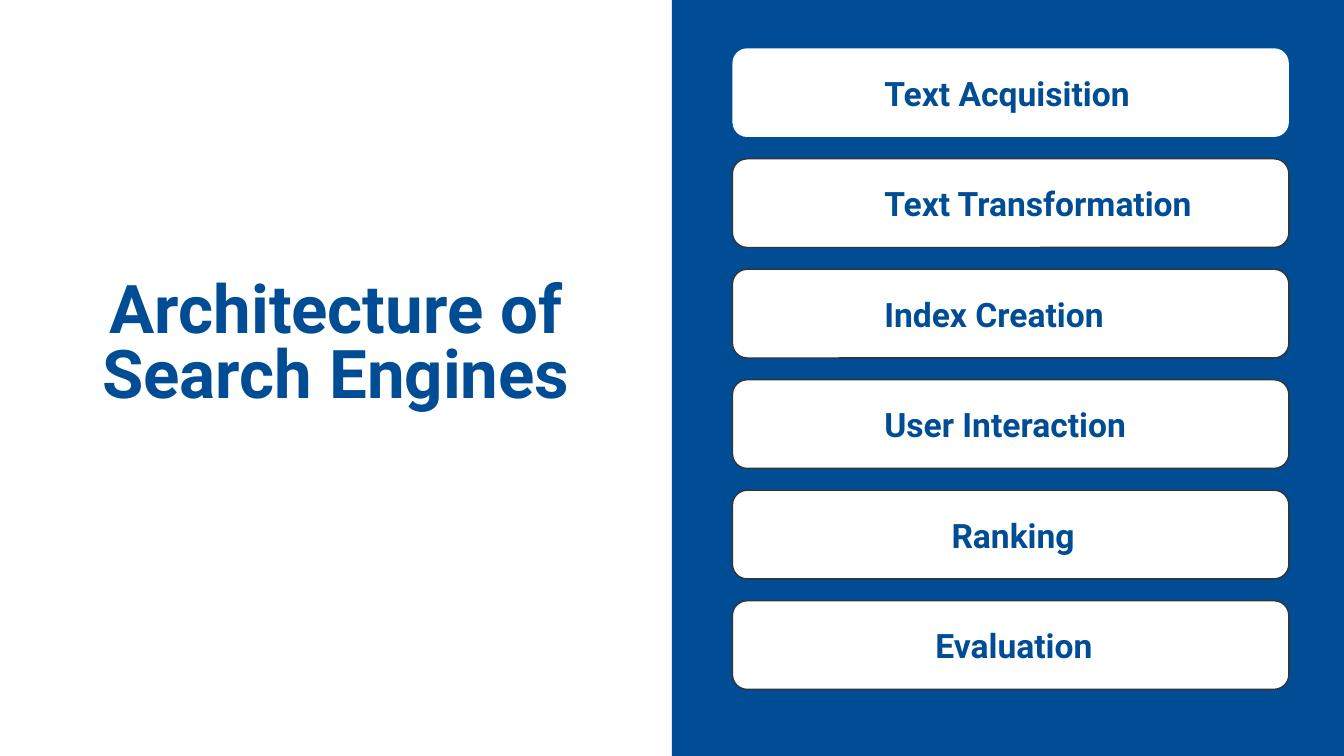
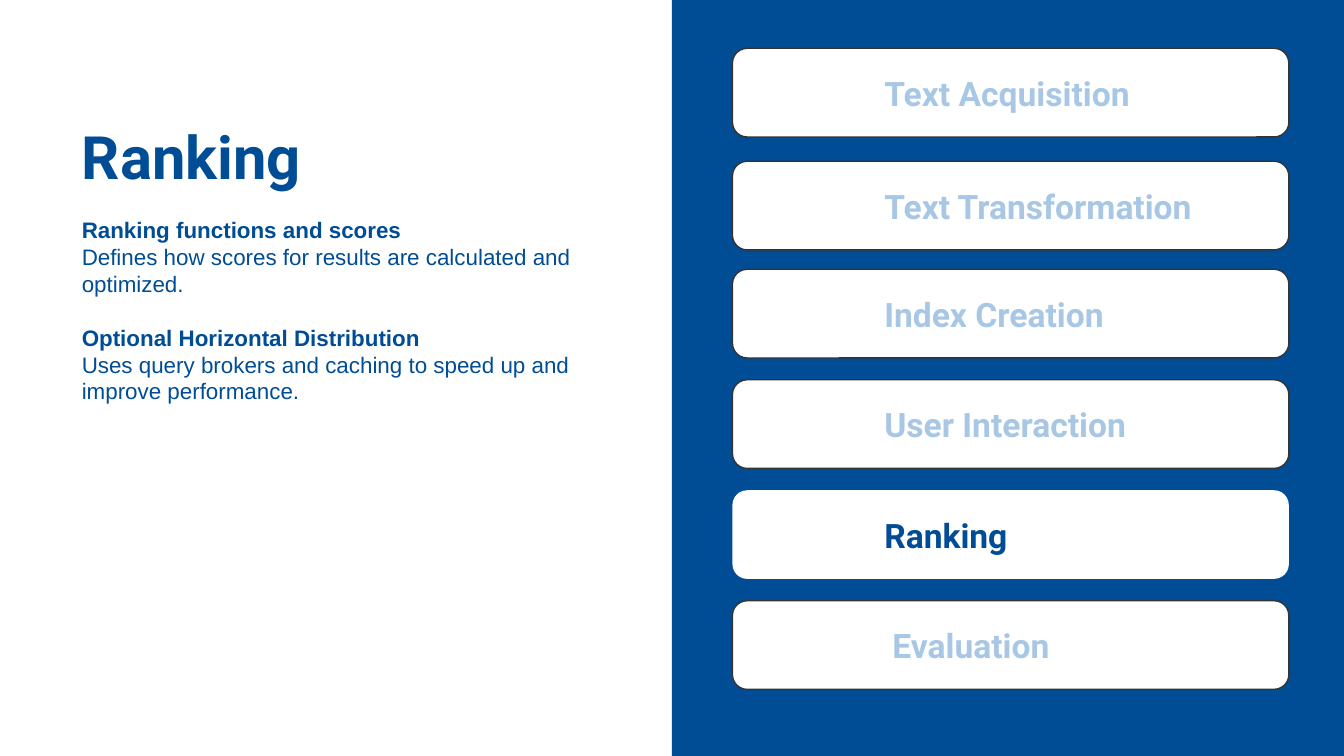
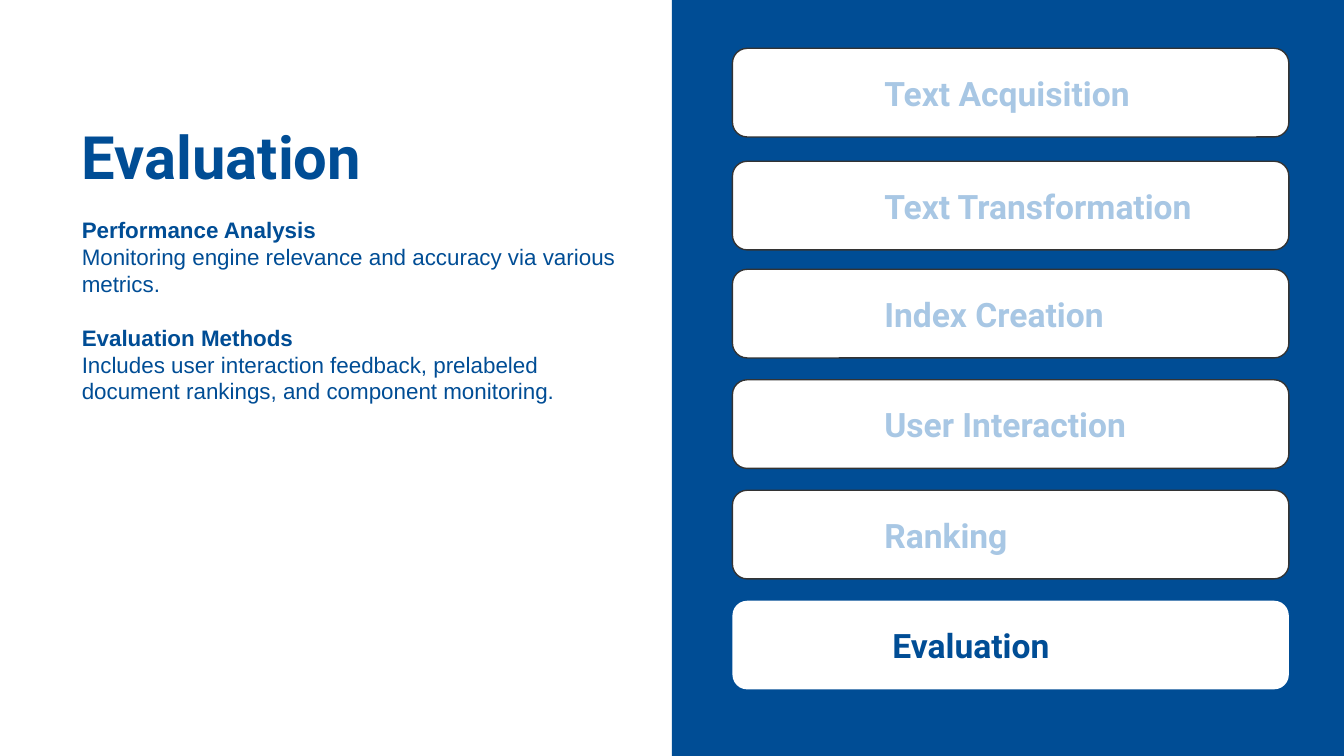
from pptx import Presentation
from pptx import util as u
from pptx.dml.color import RGBColor
from pptx.enum import shapes, text

BLUE, PALE, WHITE, OUTLINE = "004D95", "A8C7E4", "FFFFFF", "333333"
HEADING_FONT, BODY_FONT = "Roboto", "Arial"
WIDTH = 10
HEIGHT = WIDTH * 9 / 16

STAGES = ["Text Acquisition", "Text Transformation", "Index Creation",
          "User Interaction", "Ranking", "Evaluation"]
FIRST_TOP, LAST_TOP = 0.36, 4.47
STAGE_PITCH = (LAST_TOP - FIRST_TOP) / (len(STAGES) - 1)
STAGE_INDENT = 1

DETAILS = {
    "Ranking": [
        ("Ranking functions and scores",
         "Defines how scores for results are calculated and optimized."),
        ("Optional Horizontal Distribution",
         "Uses query brokers and caching to speed up and improve performance."),
    ],
    "Evaluation": [
        ("Performance Analysis",
         "Monitoring engine relevance and accuracy via various metrics."),
        ("Evaluation Methods",
         "Includes user interaction feedback, prelabeled document rankings, "
         "and component monitoring."),
    ],
}


def color(value):
    return RGBColor.from_string(value)


def write(para, words, font=BODY_FONT, size=12, fill=BLUE, bold=False,
          align=text.PP_ALIGN.LEFT, spacing=1.0, before=0, margin=0, indent=0):
    """Fill a paragraph; margin and first-line indent are in inches."""
    properties = para._p.get_or_add_pPr()
    properties.set("marL", str(u.Inches(margin)))
    properties.set("indent", str(u.Inches(indent)))
    para.alignment = align
    para.line_spacing = spacing
    para.space_before = u.Pt(before)
    span = para.add_run()
    span.text = words
    span.font.name = font
    span.font.size = u.Pt(size)
    span.font.bold = bold
    span.font.color.rgb = color(fill)


def set_frame(frame, anchor=text.MSO_ANCHOR.TOP, inset=0.1):
    frame.word_wrap = True
    frame.auto_size = text.MSO_AUTO_SIZE.NONE
    frame.vertical_anchor = anchor
    frame.margin_left = frame.margin_right = u.Inches(0.1)
    frame.margin_top = frame.margin_bottom = u.Inches(inset)


class Builder:
    def __init__(self):
        self.deck = Presentation()
        self.deck.slide_width = u.Inches(WIDTH)
        self.deck.slide_height = u.Inches(HEIGHT)
        self.page = None

    def start_page(self):
        """Add a white slide with the blue right half."""
        self.page = self.deck.slides.add_slide(self.deck.slide_layouts[5])
        background = self.page.background.fill
        background.solid()
        background.fore_color.rgb = color(WHITE)
        self.shape(shapes.MSO_SHAPE.RECTANGLE, WIDTH / 2, 0, WIDTH / 2, HEIGHT, BLUE)

    def shape(self, kind, left, top, width, height, fill, line=None):
        box = self.page.shapes.add_shape(
            kind, *map(u.Inches, (left, top, width, height)))
        box.shadow.inherit = False
        box.fill.solid()
        box.fill.fore_color.rgb = color(fill)
        if line:
            box.line.color.rgb = color(line)
            box.line.width = u.Pt(0.75)
        else:
            box.line.fill.background()
        return box

    def title(self, words, left, top, height, **style):
        box = self.page.shapes.title
        box.left, box.top, box.width, box.height = map(
            u.Inches, (left, top, 4.82, height))
        set_frame(box.text_frame)
        write(box.text_frame.paragraphs[0], words, font=HEADING_FONT, bold=True, **style)

    def stages(self, active, inactive_fill, tops, indents):
        """Stack the stage boxes; tops and indents hold the exceptions by stage."""
        for row, stage in enumerate(STAGES):
            is_active = stage == active
            box = self.shape(shapes.MSO_SHAPE.ROUNDED_RECTANGLE, 5.45,
                             tops.get(stage, FIRST_TOP + row * STAGE_PITCH),
                             4.14, 0.66, WHITE, None if is_active else OUTLINE)
            set_frame(box.text_frame, anchor=text.MSO_ANCHOR.MIDDLE)
            write(box.text_frame.paragraphs[0], stage, font=HEADING_FONT, size=18,
                  bold=True, fill=BLUE if is_active else inactive_fill,
                  margin=0.5, indent=indents.get(stage, STAGE_INDENT) - 0.5)

    def details(self, topics, height):
        box = self.page.shapes.add_textbox(
            *map(u.Inches, (0.38, 1.56, 4.42, height)))
        frame = box.text_frame
        set_frame(frame, inset=0.05)
        for number, (heading, explanation) in enumerate(topics):
            para = frame.add_paragraph() if number else frame.paragraphs[0]
            write(para, heading, bold=True, margin=0.13, before=14.4 if number else 0)
            write(frame.add_paragraph(), explanation, margin=0.13)

    def overview_page(self):
        self.start_page()
        self.title("Architecture of Search Engines", 0.09, 2, 1.62, size=36,
                   align=text.PP_ALIGN.CENTER, spacing=0.8)
        self.stages("Text Acquisition", BLUE, tops={},
                    indents={"Ranking": 1.5, "Evaluation": 1.38})

    def stage_page(self, stage, details_height):
        self.start_page()
        self.title(stage, 0.51, 0.79, 0.88, size=32)
        self.stages(stage, PALE, tops={"Text Transformation": 1.2},
                    indents={"Evaluation": 1.06})
        self.details(DETAILS[stage], details_height)


def main():
    builder = Builder()
    builder.overview_page()
    builder.stage_page("Ranking", 1.95)
    builder.stage_page("Evaluation", 1.75)
    builder.deck.save("out.pptx")


if __name__ == "__main__":
    main()
